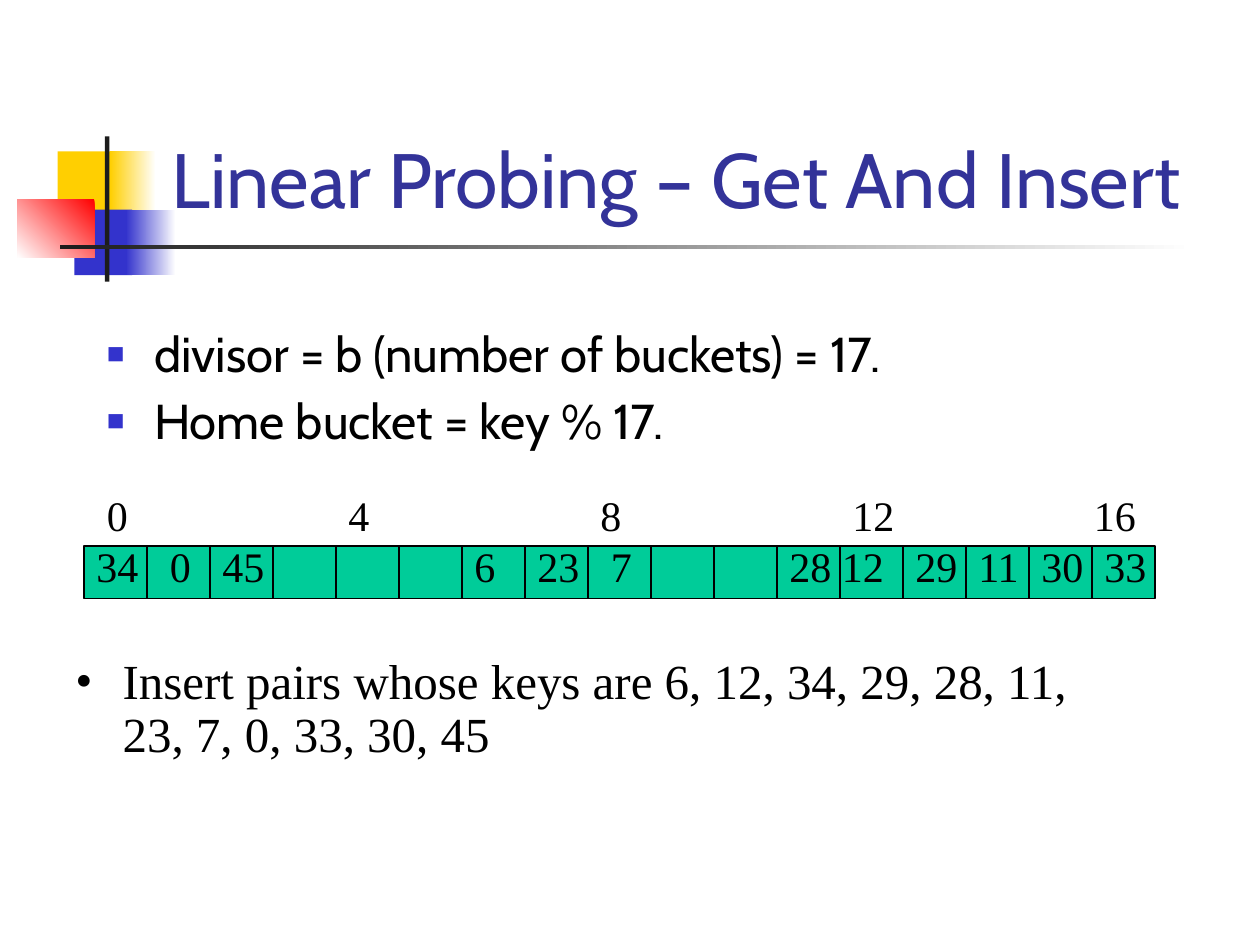
from lxml import etree
from pptx import Presentation
from pptx import util as u
from pptx.dml.color import RGBColor
from pptx.enum import shapes, text
from pptx.oxml.ns import qn

Pt = u.Pt
SERIF = "Times New Roman"
color = RGBColor.from_string

presentation = Presentation()
presentation.slide_width, presentation.slide_height = Pt(720), Pt(540)
slide = presentation.slides.add_slide(presentation.slide_layouts[5])


def add_block(left, top, width, height, *colors, angle=180):
    """Rectangle with a solid fill, or a gradient when two colours are given."""
    shape = slide.shapes.add_shape(
        shapes.MSO_SHAPE.RECTANGLE, Pt(left), Pt(top), Pt(width), Pt(height))
    shape.shadow.inherit = False
    shape.line.fill.background()
    if len(colors) == 1:
        shape.fill.solid()
        shape.fill.fore_color.rgb = color(colors[0])
    else:
        shape.fill.gradient()
        shape.fill.gradient_angle = angle
        for stop, value in zip(shape.fill.gradient_stops, colors):
            stop.color.rgb = color(value)
    return shape


def add_text(left, top, width, height, lines, size, font, bullet=None,
             bullet_color="000000", bullet_size=100, space=0):
    """Text box with one paragraph per line, bulleted on request."""
    box = slide.shapes.add_textbox(Pt(left), Pt(top), Pt(width), Pt(height))
    frame = box.text_frame
    frame.word_wrap = True
    for index, line in enumerate(lines):
        paragraph = frame.paragraphs[0] if index == 0 else frame.add_paragraph()
        run = paragraph.add_run()
        run.text = line
        run.font.size, run.font.name = Pt(size), font
        run.font.color.rgb = color("000000")
        if bullet:
            paragraph.line_spacing = 0.9
            paragraph.space_before = Pt(space)
            properties = paragraph._p.get_or_add_pPr()
            properties.set("marL", str(Pt(27)))
            properties.set("indent", str(Pt(-27)))
            tint = etree.SubElement(properties, qn("a:buClr"))
            etree.SubElement(tint, qn("a:srgbClr"), val=bullet_color)
            etree.SubElement(properties, qn("a:buSzPct"), val=str(bullet_size * 1000))
            etree.SubElement(properties, qn("a:buFont"), typeface=SERIF)
            etree.SubElement(properties, qn("a:buChar"), char=bullet)


# Decoration: coloured squares and the two crossing bars
add_block(33, 86.5, 34.5, 37.5, "FFCF01")
add_block(63, 86.5, 26, 37.5, "FFFFFF", "FFCF01")
add_block(42.5, 119.75, 33, 37.5, "3333CC")
add_block(72, 119.75, 28.5, 37.5, "FFFFFF", "3333CC")
add_block(10, 113.75, 44, 33.5, "FF0000", "FFFFFF", angle=225)
add_block(60, 78, 2.5, 83, "1C1C1C")
add_block(34.5, 140, 648, 2.5, "FFFFFF", "1C1C1C")

# Title, brought in front of the decoration
title = slide.shapes.title
slide.shapes._spTree.append(title._element)
title.left, title.top, title.width, title.height = Pt(91), Pt(16.5), Pt(613.5), Pt(115)
title.text_frame.auto_size = text.MSO_AUTO_SIZE.NONE
title.text_frame.vertical_anchor = text.MSO_ANCHOR.BOTTOM
paragraph = title.text_frame.paragraphs[0]
paragraph.alignment = text.PP_ALIGN.LEFT
paragraph.line_spacing = 1.02
run = paragraph.add_run()
run.text = "Linear Probing – Get And Insert"
run.font.size, run.font.name = Pt(44), "Cabin"
run.font.color.rgb = color("333399")

# Hashing rule
add_text(54, 185, 612, 75.5,
         ["divisor = b (number of buckets) = 17.", "Home bucket = key % 17."],
         28, "Cabin", "■", "3333CC", 60, space=8)

# Hash table: 17 buckets
table_left, table_top, bucket_width = 48, 312, 36
for bucket in range(17):
    cell = add_block(table_left + bucket * bucket_width, table_top, bucket_width, 30, "00CC99")
    cell.line.color.rgb = color("000000")
    cell.line.width = Pt(1)

# Bucket numbers, with small shifts from the bucket edge
for bucket, shift in {0: 6, 4: 0, 8: 0, 12: 0, 16: -6}.items():
    add_text(table_left + bucket * bucket_width + shift, 276, 42, 36,
             [str(bucket)], 24, SERIF)

# Stored keys
keys = {0: 34, 1: 0, 2: 45, 6: 6, 7: 23, 8: 7, 11: 28,
        12: 12, 13: 29, 14: 11, 15: 30, 16: 33}
key_shifts = {1: 6, 8: 6, 12: -6}
for bucket, key in keys.items():
    add_text(table_left + bucket * bucket_width + key_shifts.get(bucket, 0), 305.5, 42, 36,
             [str(key)], 24, SERIF)

# Insertion sequence
add_text(36, 372, 612, 72,
         ["Insert pairs whose keys are 6, 12, 34, 29, 28, 11, 23, 7, 0, 33, 30, 45"],
         28, SERIF, "•", space=7)

presentation.save("out.pptx")
